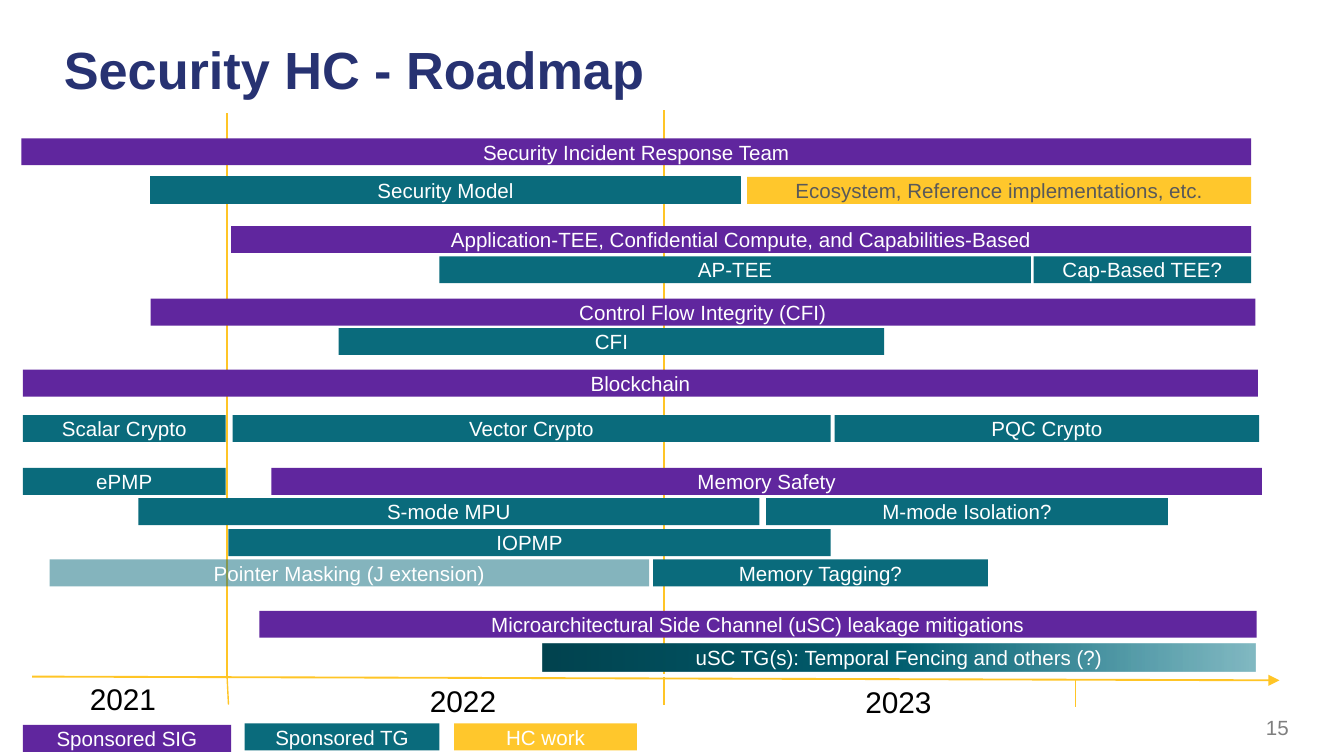
from copy import deepcopy

from lxml import etree
from pptx import Presentation
from pptx import util as u
from pptx.dml import color
from pptx.enum import shapes, text
from pptx.oxml import ns

WIDTH = u.Inches(10)
HEIGHT = WIDTH * 9 // 16
BAR_HEIGHT = 3.56
SIG, TG, HC, AXIS = "60269E", "0A6B7C", "FFC72C", "FFC526"
WHITE, GREY = "FFFFFF", "595959"

ROADMAP = [
    (18.3, [(1.6, 91.5, "Security Incident Response Team", SIG)]),
    (23.4, [(11.2, 43.9, "Security Model", TG),
            (55.6, 37.5, "Ecosystem, Reference implementations, etc.", HC)]),
    (29.9, [(17.2, 75.9, "Application-TEE, Confidential Compute, and Capabilities-Based", SIG)]),
    (33.9, [(32.7, 44, "AP-TEE", TG), (76.9, 16.2, "Cap-Based TEE?", TG)]),
    (39.5, [(11.2, 82.2, "Control Flow Integrity (CFI)", SIG)]),
    (43.4, [(25.2, 40.6, "CFI", TG)]),
    (48.9, [(1.7, 91.9, "Blockchain", SIG)]),
    (54.9, [(1.7, 15.1, "Scalar Crypto", TG), (17.3, 44.5, "Vector Crypto", TG),
            (62.1, 31.6, "PQC Crypto", TG)]),
    (61.9, [(1.7, 15.1, "ePMP", TG), (20.2, 73.7, "Memory Safety", SIG)]),
    (65.9, [(10.3, 46.2, "S-mode MPU", TG), (57, 29.9, "M-mode Isolation?", TG)]),
    (70, [(17, 44.8, "IOPMP", TG)]),
    (74, [(3.7, 44.6, "Pointer Masking (J extension)", TG),
          (48.6, 24.9, "Memory Tagging?", TG)]),
    (80.8, [(19.3, 74.2, "Microarchitectural Side Channel (uSC) leakage mitigations", SIG)]),
    (85.2, [(40.4, 53, "uSC TG(s): Temporal Fencing and others (?)", TG)]),
]
LEGEND = [(1.7, 95.9, 15.5, "Sponsored SIG", SIG),
          (18.2, 95.7, 14.5, "Sponsored TG", TG),
          (33.8, 95.7, 13.6, "HC work", HC)]
YEARS = [(5.7, 89.1, "2021"), (31, 89.4, "2022"), (63.4, 89.6, "2023")]
BOUNDARIES = [(16.9, 89.6, 16.9, 14.9, 1), (49.4, 89.1, 49.4, 14.6, 1),
              (16.9, 89.6, 17, 93.2, 0.75), (49.4, 89.6, 49.4, 93.2, 0.75),
              (80, 90, 80, 93.5, 0.75)]


def rgb(value):
    return color.RGBColor.from_string(value)


def place(left, top, width, height):
    return (int(WIDTH * left / 100), int(HEIGHT * top / 100),
            int(WIDTH * width / 100), int(HEIGHT * height / 100))


def format_text(frame, content, size, tone, align=text.PP_ALIGN.LEFT, bold=False):
    frame.text = content
    paragraph = frame.paragraphs[0]
    paragraph.alignment = align
    font = paragraph.runs[0].font
    font.name, font.size, font.bold = "Arial", u.Pt(size), bold
    font.color.rgb = rgb(tone)


def set_insets(frame):
    frame.margin_left = frame.margin_right = u.Inches(0.07)
    frame.margin_top = frame.margin_bottom = u.Inches(0.04)


def set_alpha(parent, percent):
    for tone in parent.iter(ns.qn("a:srgbClr")):
        etree.SubElement(tone, ns.qn("a:alpha"), val=str(percent * 1000))


def add_title(slide):
    title = slide.shapes.title
    title.left, title.top, title.width, title.height = place(4.05, 2.8, 87.7, 13.4)
    frame = title.text_frame
    format_text(frame, "Security HC - Roadmap", 28, "273272", bold=True)
    set_insets(frame)
    frame.vertical_anchor = text.MSO_ANCHOR.MIDDLE
    frame.paragraphs[0].line_spacing = 0.95


def add_line(slide, left, top, right, bottom, weight):
    start_x, start_y, end_x, end_y = place(left, top, right, bottom)
    line = slide.shapes.add_connector(
        shapes.MSO_CONNECTOR.STRAIGHT, start_x, start_y, end_x, end_y)
    line.line.color.rgb = rgb(AXIS)
    line.line.width = u.Pt(weight)
    etree.SubElement(line._element.spPr, ns.qn("a:effectLst"))
    return line


def add_time_axis(slide):
    axis = add_line(slide, 2.4, 89.5, 95.2, 90, 1)
    outline = axis._element.spPr.get_or_add_ln()
    etree.SubElement(outline, ns.qn("a:tailEnd"), type="triangle")
    for boundary in BOUNDARIES:
        add_line(slide, *boundary)


def add_year(slide, left, top, year):
    frame = slide.shapes.add_textbox(*place(left, top, 7, 6.6)).text_frame
    format_text(frame, year, 16, "000000")
    frame.word_wrap = False
    frame.auto_size = text.MSO_AUTO_SIZE.SHAPE_TO_FIT_TEXT


def add_bar(slide, left, top, width, label, fill, tone=WHITE):
    bar = slide.shapes.add_shape(
        shapes.MSO_SHAPE.RECTANGLE, *place(left, top, width, BAR_HEIGHT))
    bar.shadow.inherit = False
    bar.fill.solid()
    bar.fill.fore_color.rgb = rgb(fill)
    bar.line.fill.background()
    frame = bar.text_frame
    format_text(frame, label, 11, tone, text.PP_ALIGN.CENTER)
    frame.vertical_anchor = text.MSO_ANCHOR.MIDDLE
    frame.word_wrap = True
    return bar


def fade_bar(bar):
    bar.fill.gradient()
    bar.fill.gradient_angle = 0
    stop_list = next(bar._element.spPr.iter(ns.qn("a:gsLst")))
    stop_list.append(deepcopy(stop_list[0]))
    shades = [(0, "01434F"), (0.5, "015F70"), (0.99, "017185")]
    for stop, (position, shade) in zip(bar.fill.gradient_stops, shades):
        stop.position = position
        stop.color.rgb = rgb(shade)
    set_alpha(stop_list[-1], 50)


def add_roadmap(slide):
    bars = {}
    for top, row in ROADMAP:
        for left, width, label, fill in row:
            tone = GREY if fill == HC else WHITE
            bars[label] = add_bar(slide, left, top, width, label, fill, tone)
    security_model = bars["Security Model"]
    security_model.line.color.rgb = rgb(TG)
    security_model.line.width = u.Pt(0.5)
    set_alpha(bars["Pointer Masking (J extension)"]._element.spPr, 50)
    fade_bar(bars["uSC TG(s): Temporal Fencing and others (?)"])


def add_page_number(slide):
    frame = slide.shapes.add_textbox(*place(73.3, 94.1, 23.3, 4.5)).text_frame
    format_text(frame, "15", 11, "7F7F7F", text.PP_ALIGN.RIGHT)
    set_insets(frame)
    frame.word_wrap = True
    frame.vertical_anchor = text.MSO_ANCHOR.BOTTOM


def main():
    deck = Presentation()
    deck.slide_width, deck.slide_height = WIDTH, HEIGHT
    slide = deck.slides.add_slide(deck.slide_layouts.get_by_name("Title Only"))
    add_title(slide)
    add_time_axis(slide)
    for year in YEARS:
        add_year(slide, *year)
    add_roadmap(slide)
    for entry in LEGEND:
        add_bar(slide, *entry)
    add_page_number(slide)
    deck.save("out.pptx")


if __name__ == "__main__":
    main()
